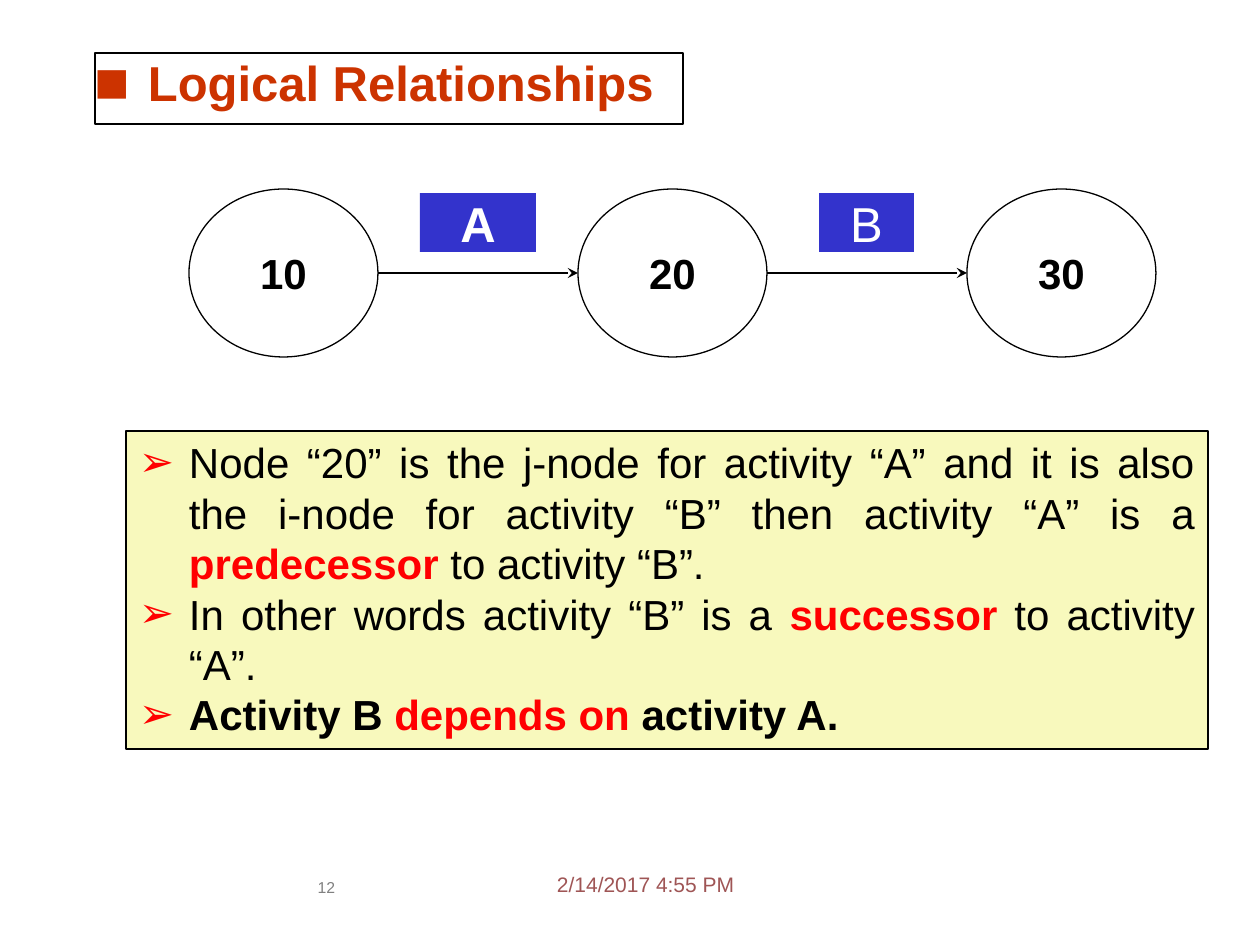
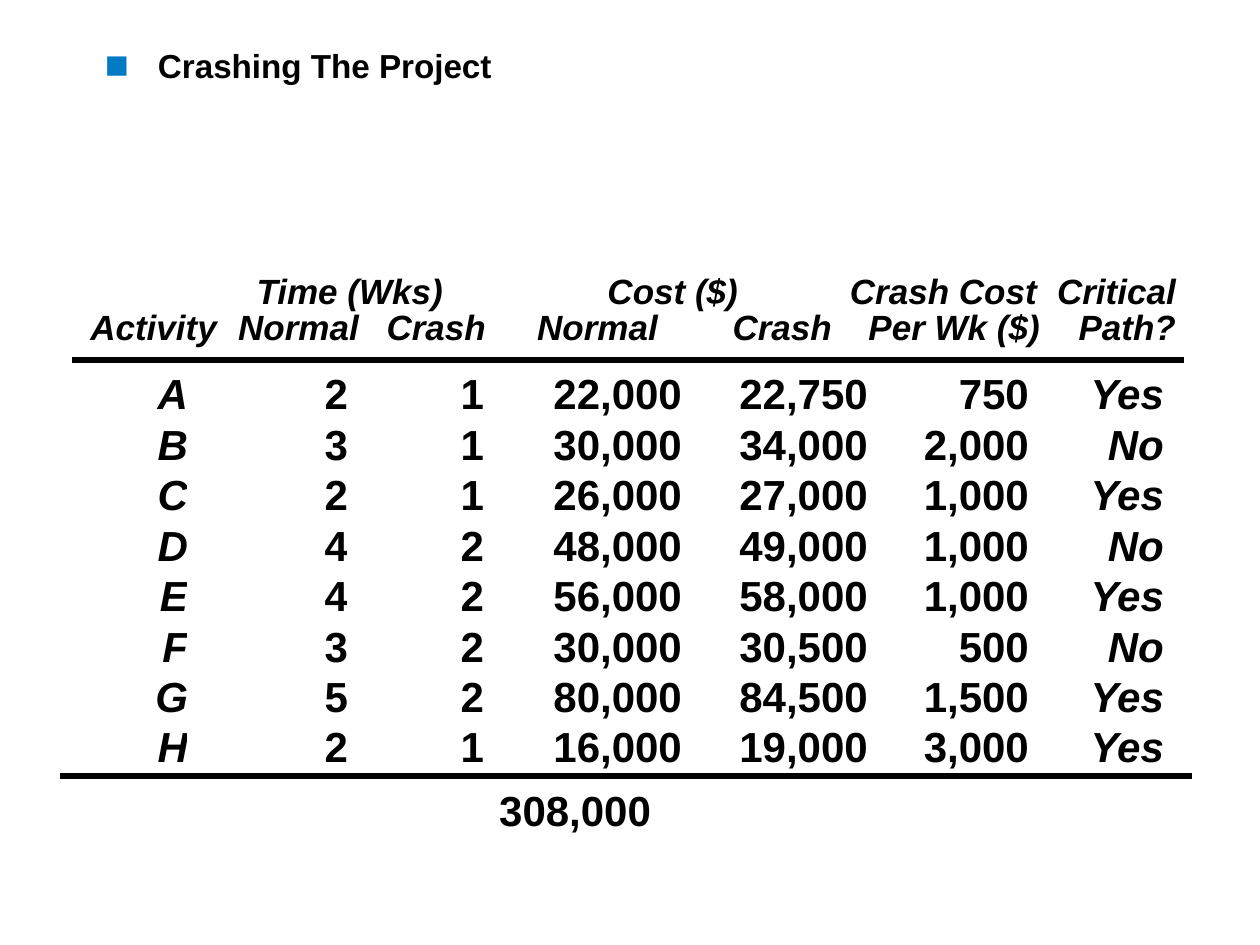
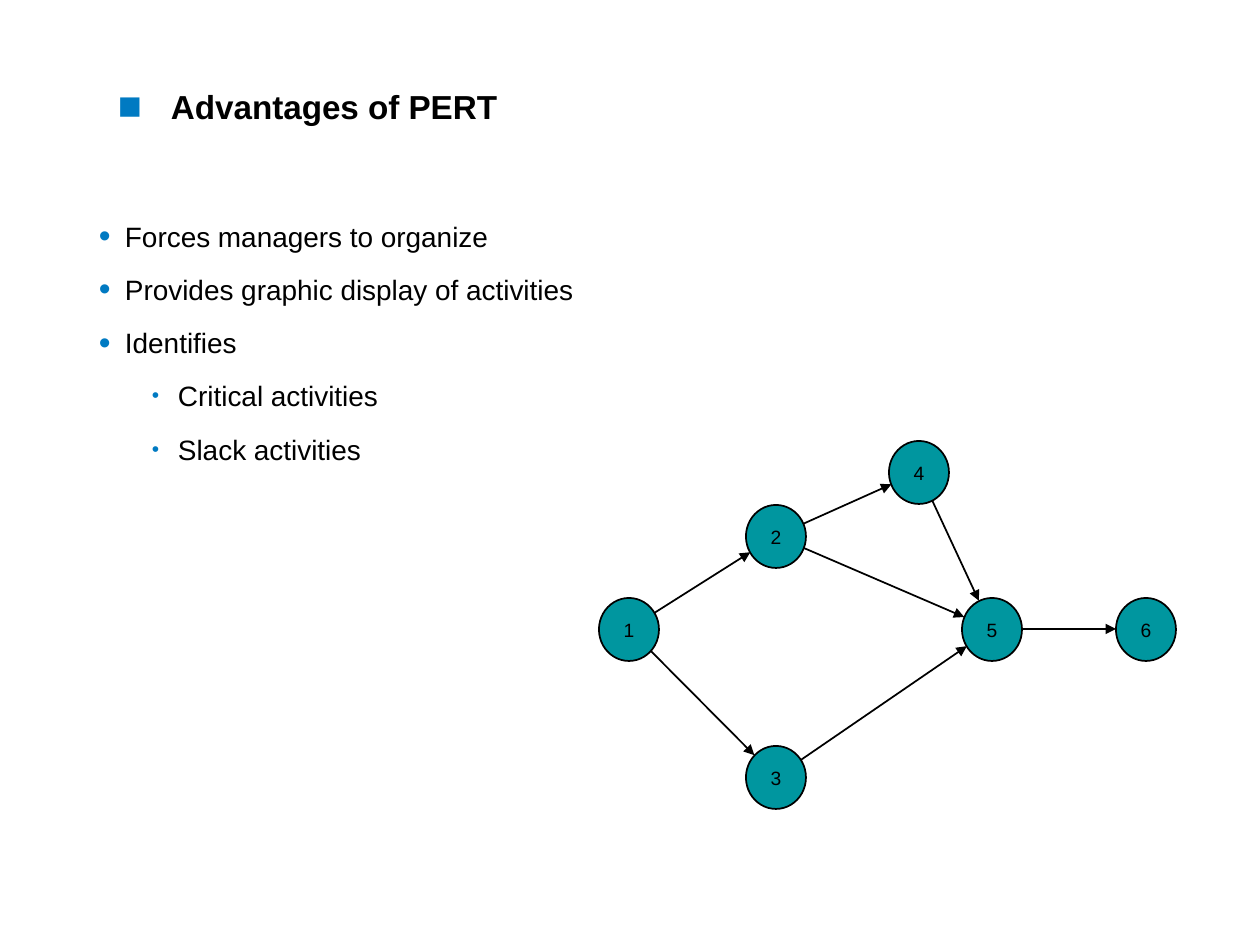
import math
from dataclasses import dataclass
from typing import Any, Optional

import lxml.etree
import pptx
import pptx.dml.color
import pptx.enum.shapes
import pptx.enum.text
import pptx.oxml.ns
import pptx.util

EMU_PER_PX = 914400 / 126
FONT = "Arial"
BLACK, WHITE, RED = "000000", "FFFFFF", "FF0000"
RUST, BLUE, TEAL = "CC3300", "007AC2", "00969F"
LABEL_BLUE, CREAM = "3333CC", "F8F9BD"
DATE_RED, PAGE_GREY = "9F5555", "808080"

ALIGN = pptx.enum.text.PP_ALIGN
ANCHOR = pptx.enum.text.MSO_ANCHOR
SHAPE = pptx.enum.shapes.MSO_SHAPE


@dataclass(frozen=True)
class Box:
    left: int
    top: int
    width: int
    height: int


@dataclass(frozen=True)
class Span:
    text: str
    size: float
    color: str = BLACK
    bold: bool = False
    italic: bool = False


@dataclass(frozen=True)
class Bullet:
    mark: str
    color: str
    percent: int
    left: int
    hanging: int


@dataclass(frozen=True)
class Para:
    spans: list[Span]
    align: Any = ALIGN.LEFT
    bullet: Optional[Bullet] = None
    tabs: tuple[int, ...] = ()
    line_spacing: Optional[float] = None
    before: float = 0


@dataclass(frozen=True)
class Node:
    label: str
    x: int
    y: int


# Shared helpers
def px(length: float) -> pptx.util.Emu:
    return pptx.util.Emu(round(length * EMU_PER_PX))


def rgb(color: str) -> pptx.dml.color.RGBColor:
    return pptx.dml.color.RGBColor.from_string(color)


def add_element(parent: Any, tag: str, **attributes: str) -> Any:
    element = lxml.etree.SubElement(parent, pptx.oxml.ns.qn(tag))
    for name, value in attributes.items():
        element.set(name, value)
    return element


def add_bullet(paragraph: Any, bullet: Bullet) -> None:
    properties = paragraph._p.get_or_add_pPr()
    properties.set("marL", str(px(bullet.left)))
    properties.set("indent", str(-px(bullet.hanging)))
    color = add_element(properties, "a:buClr")
    add_element(color, "a:srgbClr", val=bullet.color)
    add_element(properties, "a:buSzPct", val=str(bullet.percent * 1000))
    add_element(properties, "a:buFont", typeface=FONT)
    add_element(properties, "a:buChar", char=bullet.mark)


def add_tabs(paragraph: Any, stops: tuple[int, ...]) -> None:
    tab_list = add_element(paragraph._p.get_or_add_pPr(), "a:tabLst")
    for stop in stops:
        add_element(tab_list, "a:tab", pos=str(px(stop)), algn="r")


def write(frame: Any, paras: list[Para]) -> None:
    for index, para in enumerate(paras):
        paragraph = frame.add_paragraph() if index else frame.paragraphs[0]
        if para.bullet:
            add_bullet(paragraph, para.bullet)
        if para.tabs:
            add_tabs(paragraph, para.tabs)
        paragraph.alignment = para.align
        if para.line_spacing:
            paragraph.line_spacing = para.line_spacing
        if index and para.before:
            paragraph.space_before = pptx.util.Pt(para.before)
        paragraph.text = para.spans[0].text
        for span in para.spans[1:]:
            paragraph.add_run().text = span.text
        for run, span in zip(paragraph.runs, para.spans):
            run.font.name = FONT
            run.font.size = pptx.util.Pt(span.size)
            run.font.bold = span.bold
            run.font.italic = span.italic
            run.font.color.rgb = rgb(span.color)


def fill_frame(frame: Any, paras: list[Para], anchor: Any, inset: tuple[int, int]) -> None:
    frame.word_wrap = True
    frame.vertical_anchor = anchor
    frame.margin_left = frame.margin_right = px(inset[0])
    frame.margin_top = frame.margin_bottom = px(inset[1])
    write(frame, paras)


def add_text(page: Any, box: Box, paras: list[Para], anchor: Any = ANCHOR.TOP,
             inset: tuple[int, int] = (0, 0)) -> None:
    shape = page.shapes.add_textbox(px(box.left), px(box.top), px(box.width), px(box.height))
    fill_frame(shape.text_frame, paras, anchor, inset)


def add_panel(page: Any, kind: Any, box: Box, fill: str, line: float, paras: list[Para],
              anchor: Any = ANCHOR.TOP, inset: tuple[int, int] = (0, 0)) -> None:
    shape = page.shapes.add_shape(kind, px(box.left), px(box.top), px(box.width), px(box.height))
    shape.shadow.inherit = False
    shape.fill.solid()
    shape.fill.fore_color.rgb = rgb(fill)
    if line:
        shape.line.color.rgb = rgb(BLACK)
        shape.line.width = pptx.util.Pt(line)
    else:
        shape.line.fill.background()
    fill_frame(shape.text_frame, paras, anchor, inset)


def add_line(page: Any, start: tuple[float, float], end: tuple[float, float],
             width: float, head: str = "") -> None:
    line = page.shapes.add_connector(pptx.enum.shapes.MSO_CONNECTOR.STRAIGHT,
                                     px(start[0]), px(start[1]), px(end[0]), px(end[1]))
    line.line.color.rgb = rgb(BLACK)
    line.line.width = pptx.util.Pt(width)
    if head:
        add_element(line.line._get_or_add_ln(), "a:tailEnd", type=head)
    add_element(line._element.spPr, "a:effectLst")


def title_para(text: str, size: float = 19, color: str = BLACK, mark_color: str = BLUE) -> Para:
    return Para([Span(text, size, color, bold=True)],
                bullet=Bullet("■", mark_color, 120, 53, 53))


# Slide 1: activities between event nodes
def build_relationships(page: Any) -> None:
    add_text(page, Box(557, 872, 210, 32), [Para([Span("2/14/2017 4:55 PM", 12, DATE_RED)])])
    add_text(page, Box(302, 878, 49, 43), [Para([Span("12", 9, PAGE_GREY)], ALIGN.CENTER)])

    first, top, width, height, pitch = 189, 189, 189, 168, 389
    for index, label in enumerate(("10", "20", "30")):
        left = first + index * pitch
        add_panel(page, SHAPE.OVAL, Box(left, top, width, height), WHITE, 0.75,
                  [Para([Span(label, 24, bold=True)], ALIGN.CENTER)], ANCHOR.MIDDLE)
        if index:
            middle = top + height / 2
            add_line(page, (left - pitch + width, middle), (left, middle), 1.5, "stealth")
    for label, left, label_width, bold in (("A", 420, 116, True), ("B", 819, 95, False)):
        add_panel(page, SHAPE.RECTANGLE, Box(left, 193, label_width, 59), LABEL_BLUE, 0,
                  [Para([Span(label, 28, WHITE, bold)], ALIGN.CENTER)])

    add_panel(page, SHAPE.RECTANGLE, Box(95, 53, 588, 71), WHITE, 0.75,
              [title_para("Logical Relationships", 28, RUST, RUST)])

    arrow = Bullet("➢", RED, 100, 50, 50)
    statements = [
        [Span("Node “20” is the j-node for activity “A” and it is also the i-node for "
              "activity “B” then activity “A” is a ", 24),
         Span("predecessor", 24, RED, True), Span(" to activity “B”.", 24)],
        [Span("In other words activity “B” is a ", 24),
         Span("successor", 24, RED, True), Span(" to activity “A”.", 24)],
        [Span("Activity B ", 24, bold=True), Span("depends on ", 24, RED, True),
         Span("activity A.", 24, bold=True)],
    ]
    add_panel(page, SHAPE.RECTANGLE, Box(126, 431, 1082, 318), CREAM, 0.75,
              [Para(spans, ALIGN.JUSTIFY, arrow) for spans in statements], inset=(13, 6))


# Slide 2: crash costs
HEADINGS = (
    ("\tTime (Wks)\tCost ($)\tCrash Cost\tCritical", (376, 671, 970, 1109)),
    ("\tActivity\tNormal\tCrash\tNormal\tCrash\tPer Wk ($)\tPath?",
     (150, 292, 419, 591, 765, 973, 1109)),
)
COLUMN_EDGES = (95, 188, 348, 484, 682, 868, 1029, 1164)
ACTIVITIES = (
    ("A", "2", "1", "22,000", "22,750", "750", "Yes"),
    ("B", "3", "1", "30,000", "34,000", "2,000", "No"),
    ("C", "2", "1", "26,000", "27,000", "1,000", "Yes"),
    ("D", "4", "2", "48,000", "49,000", "1,000", "No"),
    ("E", "4", "2", "56,000", "58,000", "1,000", "Yes"),
    ("F", "3", "2", "30,000", "30,500", "500", "No"),
    ("G", "5", "2", "80,000", "84,500", "1,500", "Yes"),
    ("H", "2", "1", "16,000", "19,000", "3,000", "Yes"),
)


def build_crashing(page: Any) -> None:
    add_text(page, Box(105, 45, 1071, 112), [title_para("Crashing The Project")])
    add_text(page, Box(67, 276, 1123, 72),
             [Para([Span(text, 20, bold=True, italic=True)], tabs=stops, line_spacing=0.85)
              for text, stops in HEADINGS])

    left, right = COLUMN_EDGES[0], COLUMN_EDGES[-1]
    last = len(COLUMN_EDGES) - 2
    table = page.shapes.add_table(len(ACTIVITIES), last + 1, px(left), px(370),
                                  px(right - left), px(403)).table
    table.first_row = table.horz_banding = False
    for column, start, end in zip(table.columns, COLUMN_EDGES, COLUMN_EDGES[1:]):
        column.width = px(end - start)
    for row, values in enumerate(ACTIVITIES):
        for column, value in enumerate(values):
            cell = table.cell(row, column)
            cell.fill.background()
            cell.margin_left = cell.margin_right = cell.margin_top = cell.margin_bottom = 0
            cell.vertical_anchor = ANCHOR.MIDDLE
            span = Span(value, 24, bold=True, italic=column in (0, last))
            write(cell.text_frame, [Para([span], ALIGN.RIGHT)])

    add_line(page, (72, 360), (1184, 360), 3)
    add_line(page, (60, 776), (1192, 776), 3)
    add_text(page, Box(486, 785, 165, 50),
             [Para([Span("308,000", 24, bold=True)], ALIGN.RIGHT)])


# Slide 3: advantages and an example network
NODE_WIDTH, NODE_HEIGHT = 60, 63
NODES = {node.label: node for node in (
    Node("1", 629, 629), Node("2", 776, 536), Node("3", 776, 777),
    Node("4", 919, 472), Node("5", 992, 629), Node("6", 1146, 629),
)}
EDGES = ("45", "25", "56", "35", "13", "24", "12")


def add_edge(page: Any, source: Node, target: Node) -> None:
    """Draw an arrow between centres that stops at the target's outline."""
    across, down = target.x - source.x, target.y - source.y
    reach = 1 / math.hypot(across / (NODE_WIDTH / 2), down / (NODE_HEIGHT / 2))
    tip = (target.x - across * reach, target.y - down * reach)
    add_line(page, (source.x, source.y), tip, 1, "triangle")


def build_advantages(page: Any) -> None:
    add_text(page, Box(105, 20, 1071, 112), [title_para("Advantages of PERT")],
             ANCHOR.BOTTOM, (13, 6))
    main = Bullet("•", BLUE, 120, 26, 26)
    detail = Bullet("•", BLUE, 75, 79, 26)
    points = (
        ("Forces managers to organize", main),
        ("Provides graphic display of activities", main),
        ("Identifies", main),
        ("Critical activities", detail),
        ("Slack activities", detail),
    )
    add_text(page, Box(86, 205, 1081, 656),
             [Para([Span(text, 16)], bullet=bullet, line_spacing=1.25, before=6.4)
              for text, bullet in points], inset=(13, 6))

    for source, target in EDGES:
        add_edge(page, NODES[source], NODES[target])
    for node in NODES.values():
        box = Box(node.x - NODE_WIDTH // 2, node.y - NODE_HEIGHT // 2, NODE_WIDTH, NODE_HEIGHT)
        add_panel(page, SHAPE.OVAL, box, TEAL, 1,
                  [Para([Span(node.label, 11)], ALIGN.CENTER)], ANCHOR.MIDDLE)


def main() -> None:
    deck = pptx.Presentation()
    deck.slide_width, deck.slide_height = px(1260), px(945)
    for build in (build_relationships, build_crashing, build_advantages):
        build(deck.slides.add_slide(deck.slide_layouts[6]))
    deck.save("out.pptx")


if __name__ == "__main__":
    main()
